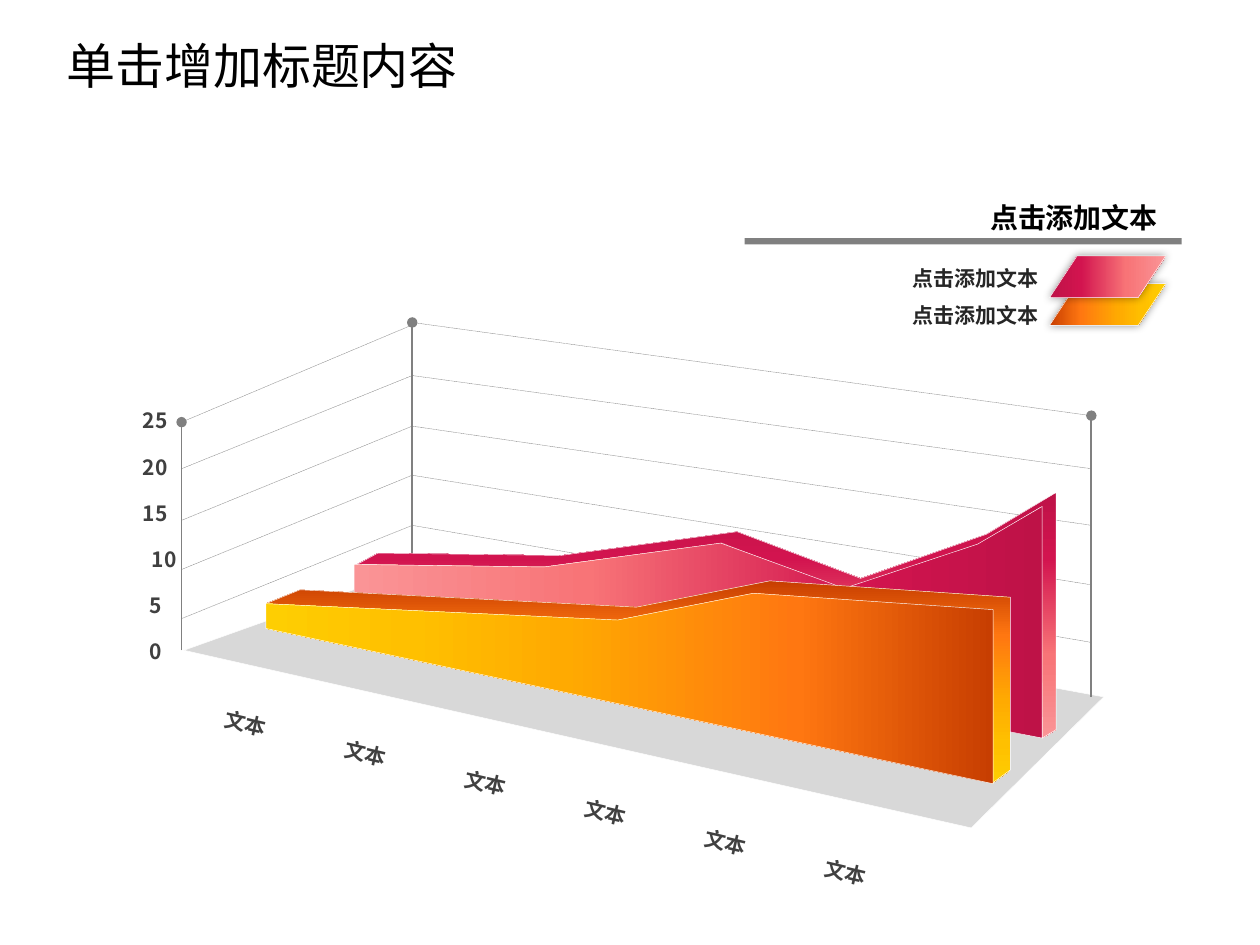
from collections import namedtuple
from dataclasses import dataclass
from lxml.etree import SubElement
from pptx import Presentation
from pptx.dml.color import RGBColor
from pptx.enum.dml import MSO_LINE_DASH_STYLE as Dash
from pptx.enum.shapes import MSO_CONNECTOR as Connector, MSO_SHAPE as Shape
from pptx.enum.text import MSO_ANCHOR as Anchor, MSO_AUTO_SIZE as AutoSize, PP_ALIGN as Align
from pptx.oxml import parse_xml
from pptx.oxml.ns import nsdecls, qn
from pptx.util import Cm, Pt

Box = namedtuple("Box", "left top width height")


@dataclass(frozen=True)
class Theme:
    title_font: str = "Arial"
    text_font: str = "Noto Sans CJK SC"
    black: str = "000000"
    label: str = "404040"
    legend: str = "262626"
    grid: str = "808080"
    floor: str = "A6A6A6"
    edge: str = "FFFFFF"
    title_size: int = 28
    heading_size: int = 16
    label_size: int = 12
    red: tuple = ((0, "BE1247"), (27, "D2144F"), (66, "F87477"), (100, "FA9496"))
    orange: tuple = ((0, "C73E01"), (27, "FF7711"), (59, "FFAA01"),
                     (80, "FFC000"), (100, "FECE02"))


THEME = Theme()

# Chart points in cm, relative to the chart's top left corner
FLOOR = [(4.62, 4.98), (0.05, 6.61), (15.92, 10.19), (18.59, 7.55)]
WALL_X = (0, 4.65, 18.34)
WALL_LEVELS = [  # left, corner (left wall), corner (back wall), right
    (2.01, 0.05, 0, 1.88), (2.95, 1.07, 1.07, 2.95), (3.99, 2.09, 2.09, 4.09),
    (4.98, 3.08, 3.08, 5.29), (5.97, 4.09, 4.09, 6.45)]
POSTS = [(6.61, 2.01), (4.88, 0), (7.55, 1.88)]
RED_TOP = [(17.63, 3.43), (17.63, 8.21), (17.35, 8.38), (17.32, 4.24), (17.3, 3.74),
           (16.03, 4.5), (13.33, 5.41), (10.89, 4.45), (7.39, 4.96), (3.5, 4.9),
           (3.96, 4.65), (7.64, 4.7), (11.2, 4.22), (13.69, 5.16), (16.23, 4.27)]
RED_FRONT = [(3.48, 5.69), (3.48, 4.88), (7.31, 4.93), (10.87, 4.45), (13.36, 5.36),
             (16.05, 4.47), (17.35, 3.71), (17.35, 8.38)]
ORANGE_TOP = [(11.86, 5.21), (16.71, 5.54), (16.71, 9.02), (16.33, 9.3), (16.33, 5.87),
              (11.53, 5.49), (8.81, 6.07), (1.7, 5.67), (2.39, 5.39), (9.17, 5.74)]
ORANGE_FRONT = [(1.7, 6.17), (16.36, 9.3), (16.36, 5.79), (11.53, 5.46),
                (8.79, 6), (1.7, 5.67)]


def apply_format(target, values):
    for name, value in values.items():
        setattr(target, name, value)


def add_text(slide, box, text, size, color, align, font=THEME.text_font,
             bold=True, anchor=Anchor.TOP, rotation=0):
    label = slide.shapes.add_textbox(*map(Cm, box))
    label.rotation = rotation
    apply_format(label.text_frame, {"word_wrap": True, "vertical_anchor": anchor,
                                    "auto_size": AutoSize.NONE})
    paragraph = label.text_frame.paragraphs[0]
    paragraph.alignment = align
    run = paragraph.add_run()
    run.text = text
    apply_format(run.font, {"name": font, "size": Pt(size), "bold": bold})
    run.font.color.rgb = RGBColor.from_string(color)
    SubElement(run.font._element, qn("a:ea"), typeface=THEME.text_font)


def set_edge(shape):
    shape.line.color.rgb = RGBColor.from_string(THEME.edge)
    shape.line.width = Pt(0.25)


def set_gradient(shape, stops, angle):
    stop_xml = "".join(f'<a:gs pos="{pos * 1000}"><a:srgbClr val="{color}"/></a:gs>'
                       for pos, color in stops)
    shape._element.spPr.insert(2, parse_xml(
        f'<a:gradFill {nsdecls("a")} rotWithShape="1"><a:gsLst>{stop_xml}</a:gsLst>'
        f'<a:lin ang="{angle * 60000}" scaled="0"/></a:gradFill>'))


def add_outline(slide, box, points):
    corners = [(Cm(box.left + x), Cm(box.top + y)) for x, y in points]
    builder = slide.shapes.build_freeform(*corners[0])
    builder.add_line_segments(corners[1:], close=True)
    outline = builder.convert_to_shape()
    outline.shadow.inherit = False
    set_edge(outline)
    return outline


def add_rule(slide, box, start, end, width, dash=None, dot_end=False):
    ends = [Cm(origin + offset) for point in (start, end)
            for origin, offset in zip(box, point)]
    rule = slide.shapes.add_connector(Connector.STRAIGHT, *ends)
    rule.line.color.rgb = RGBColor.from_string(THEME.grid)
    apply_format(rule.line, {"width": Pt(width), "dash_style": dash})
    if dot_end:
        SubElement(rule.line._get_or_add_ln(), qn("a:tailEnd"), type="oval")
    SubElement(rule._element.spPr, qn("a:effectLst"))


def draw_title(slide, box):
    add_text(slide, box, "单击增加标题内容", THEME.title_size, THEME.black, Align.LEFT,
             font=THEME.title_font, bold=False, anchor=Anchor.MIDDLE)


def draw_chart(slide, box):
    # Floor
    floor = add_outline(slide, box, FLOOR)
    floor.fill.solid()
    floor.fill.fore_color.rgb = RGBColor.from_string(THEME.floor)
    floor_color = floor._element.spPr.find(f'{qn("a:solidFill")}/{qn("a:srgbClr")}')
    SubElement(floor_color, qn("a:alpha"), val="43000")

    # Posts and wall grid
    for x, (bottom, top) in zip(WALL_X, POSTS):
        add_rule(slide, box, (x, bottom), (x, top), 1, dot_end=True)
    left, corner, right = WALL_X
    for left_y, side_y, back_y, right_y in WALL_LEVELS:
        for start, end in (((left, left_y), (corner, side_y)),
                           ((corner, back_y), (right, right_y))):
            add_rule(slide, box, start, end, 0.25, Dash.ROUND_DOT)

    # Category labels along the front edge
    for i in range(6):
        add_text(slide, (box.left - 0.45 + 2.42 * i, box.top + 7.7 + 0.6 * i, 3.48, 0.76),
                 "文本", THEME.label_size, THEME.label, Align.CENTER, rotation=13.1)

    # Series, back to front
    for points, stops, angle in ((RED_TOP, THEME.red, 90), (RED_FRONT, THEME.red, 180),
                                 (ORANGE_TOP, THEME.orange, 90),
                                 (ORANGE_FRONT, THEME.orange, 180)):
        set_gradient(add_outline(slide, box, points), stops, angle)

    # Value labels; 10 stands slightly to the right
    for i, value in enumerate(range(0, 30, 5)):
        indent = -2.09 if value == 10 else -2.27
        add_text(slide, (box.left + indent, box.top + 6.25 - 0.93 * i, 3.48, 0.76),
                 str(value), THEME.label_size, THEME.label, Align.CENTER)


def draw_legend(slide, box):
    # Series names
    for i in range(2):
        add_text(slide, (box.left, box.top + 1.32 + 0.74 * i, 6.93, 0.76),
                 "点击添加文本", THEME.label_size, THEME.legend, Align.RIGHT)

    # Heading and bar
    bar = slide.shapes.add_shape(Shape.RECTANGLE, Cm(box.left + 0.76), Cm(box.top + 0.89),
                                 Cm(8.81), Cm(0.13))
    bar.shadow.inherit = False
    bar.fill.solid()
    bar.fill.fore_color.rgb = RGBColor.from_string(THEME.grid)
    bar.line.fill.background()
    add_text(slide, (box.left + 5.3, box.top, 4.04, 0.94), "点击添加文本",
             THEME.heading_size, THEME.black, Align.RIGHT)

    # Swatches, the red one on top
    for top, stops in ((1.81, THEME.orange), (1.25, THEME.red)):
        swatch = slide.shapes.add_shape(Shape.PARALLELOGRAM, Cm(box.left + 6.91),
                                        Cm(box.top + top), Cm(2.34), Cm(0.84))
        swatch.adjustments[0] = 0.66
        set_gradient(swatch, stops, 0)
        set_edge(swatch)
        swatch._element.spPr.append(parse_xml(
            f'<a:effectLst {nsdecls("a")}><a:outerShdw blurRad="{Pt(5)}" dist="0" dir="0">'
            f'<a:srgbClr val="{THEME.black}"><a:alpha val="40000"/></a:srgbClr>'
            '</a:outerShdw></a:effectLst>'))


def main():
    deck = Presentation()
    apply_format(deck, {"slide_width": Cm(25.4), "slide_height": Cm(19.05)})
    slide = deck.slides.add_slide(deck.slide_layouts[6])
    draw_chart(slide, Box(3.66, 6.5, 18.59, 10.19))
    draw_title(slide, Box(1.09, 0.41, 23.01, 1.8))
    draw_legend(slide, Box(14.25, 3.91, 9.57, 2.82))
    deck.save("out.pptx")


if __name__ == "__main__":
    main()
